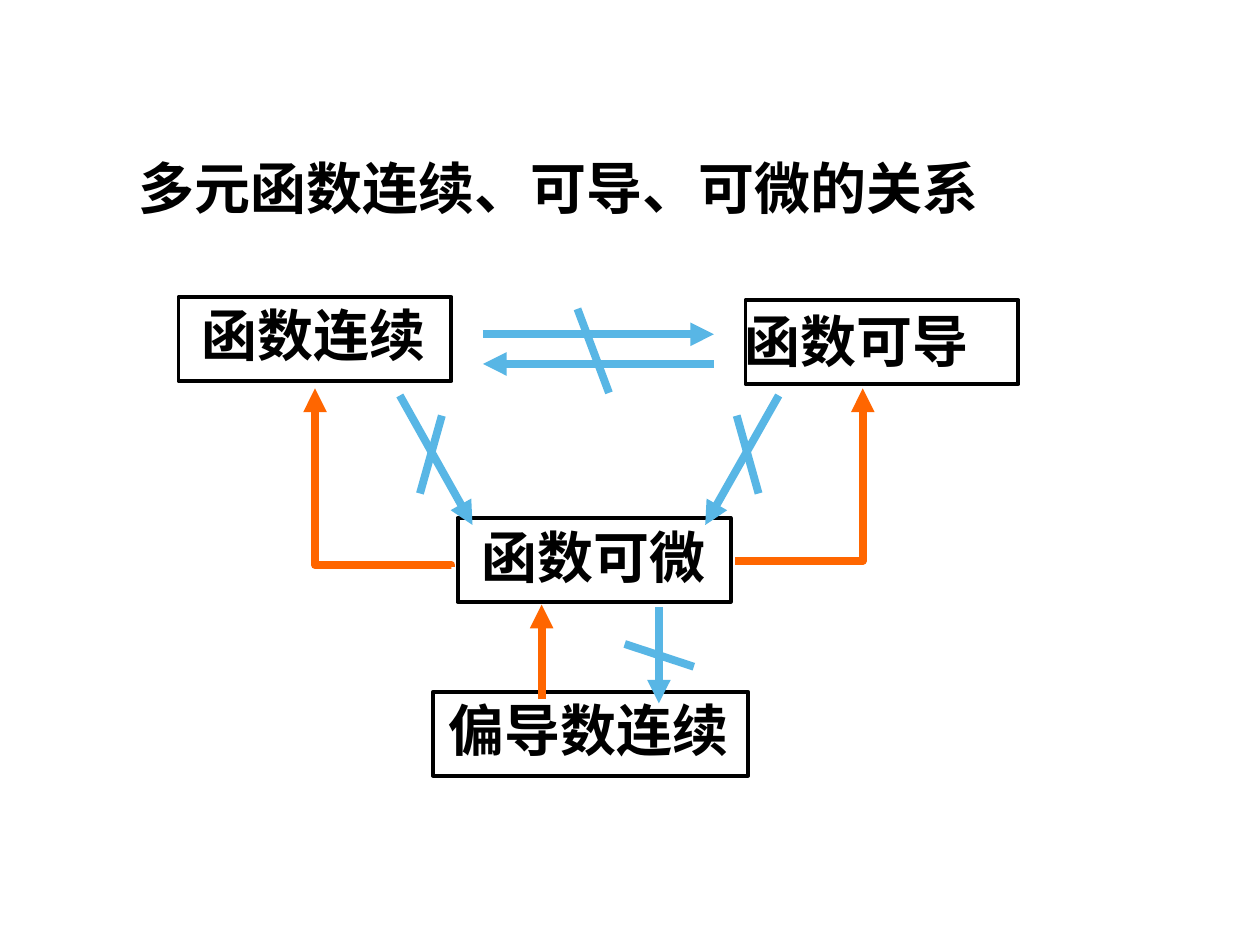
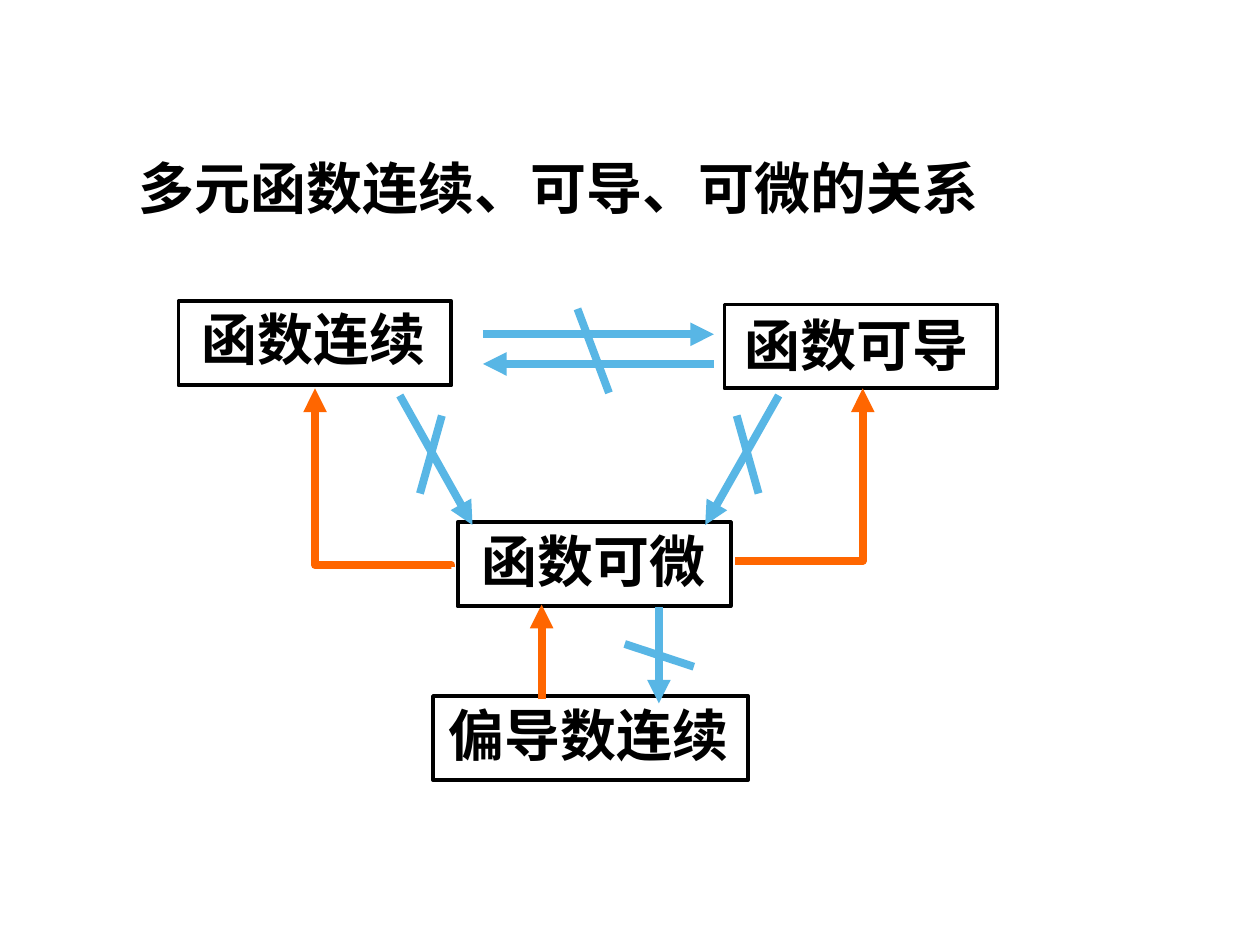
from dataclasses import dataclass

from lxml import etree
from pptx import Presentation
from pptx import util as u
from pptx.dml.color import RGBColor
from pptx.enum import lang, shapes, text
from pptx.oxml import ns

FONT = "Times New Roman"
BLACK = "000000"
IMPLIES = "FF6600"
NOT_IMPLIES = "58B6E5"
TITLE = "多元函数连续、可导、可微的关系"
LABEL_HEIGHT = 46
FRAME_HEIGHT = 48
ARROW_WIDTH = 4.5


@dataclass(frozen=True)
class Concept:
    name: str
    label_x: float
    label_y: float
    label_width: float
    frame_x: float
    frame_y: float
    frame_width: float = 156


@dataclass(frozen=True)
class Line:
    x1: float
    y1: float
    x2: float
    y2: float
    color: str = NOT_IMPLIES
    head: bool = False
    tail: bool = False


@dataclass(frozen=True)
class Elbow:
    """A bent arrow; the end points are those before rotation."""
    line: Line
    preset: str
    rotation: int = 0
    bend: int | None = None


def concepts(derivable_x: float, shift: float) -> list[Concept]:
    return [
        Concept("函数可微", 268, 295 + shift, 181.5, 261.5, 296 + shift),
        Concept("函数连续", 108, 168 + shift, 191.5, 102, 169.75 + shift),
        Concept("偏导数连续", 249, 394 + shift, 194.5, 247.5, 395.25 + shift, 180),
        Concept("函数可导", 418.5, 171.5 + shift, 181.5, derivable_x, 171.5 + shift),
    ]


SLIDES = [concepts(426, 0), concepts(414, 2.5)]

ARROWS = [
    Line(276, 191, 408, 191, tail=True),
    Line(276, 208, 408, 208, head=True),
    Line(330, 176.5, 348, 224.5),
    Elbow(Line(168, 312, 270, 234, IMPLIES, tail=True), "bentConnector3", 270, 1000),
    Line(228.5, 226, 270, 300, tail=True),
    Line(252.5, 237.5, 240, 282),
    Elbow(Line(420, 320.5, 493, 222, IMPLIES, tail=True), "bentConnector2"),
    Line(445, 226, 403, 300, tail=True),
    Line(421, 237.5, 433.5, 282),
    Line(309.5, 399.5, 309.5, 345.5, IMPLIES, tail=True),
    Line(376.5, 347, 376.5, 402, tail=True),
    Line(357, 368, 396.5, 381),
]


def rgb(color: str) -> RGBColor:
    return RGBColor.from_string(color)


def write(sp, content: str, *, size: float = 32, color: str = BLACK,
          bold: bool = True) -> None:
    tf = sp.text_frame
    tf.word_wrap = True
    tf.auto_size = text.MSO_AUTO_SIZE.NONE
    tf.vertical_anchor = text.MSO_ANCHOR.TOP
    p = tf.paragraphs[0]
    p.alignment = text.PP_ALIGN.LEFT
    r = p.add_run()
    r.text = content
    r.font.name = FONT
    r.font.size = u.Pt(size)
    r.font.bold = bold
    r.font.color.rgb = rgb(color)
    r.font.language_id = lang.MSO_LANGUAGE_ID.SIMPLIFIED_CHINESE


def add_title(slide) -> None:
    sp = slide.shapes.title
    sp.left, sp.top, sp.width, sp.height = map(u.Pt, (72, 84, 588, LABEL_HEIGHT))
    write(sp, TITLE)


def add_label(slide, concept: Concept) -> None:
    sp = slide.shapes.add_textbox(u.Pt(concept.label_x), u.Pt(concept.label_y),
                                  u.Pt(concept.label_width), u.Pt(LABEL_HEIGHT))
    write(sp, concept.name)


def add_frame(slide, concept: Concept) -> None:
    sp = slide.shapes.add_shape(
        shapes.MSO_SHAPE.RECTANGLE, u.Pt(concept.frame_x), u.Pt(concept.frame_y),
        u.Pt(concept.frame_width), u.Pt(FRAME_HEIGHT))
    sp.shadow.inherit = False
    sp.fill.background()
    sp.line.color.rgb = rgb(BLACK)
    sp.line.width = u.Pt(2.25)


def add_line(slide, line: Line, kind=shapes.MSO_CONNECTOR.STRAIGHT):
    sp = slide.shapes.add_connector(
        kind, *map(u.Pt, (line.x1, line.y1, line.x2, line.y2)))
    sp.line.color.rgb = rgb(line.color)
    sp.line.width = u.Pt(ARROW_WIDTH)
    ln = sp.line._get_or_add_ln()
    for tag, wanted in (("a:headEnd", line.head), ("a:tailEnd", line.tail)):
        if wanted:
            etree.SubElement(ln, ns.qn(tag), type="triangle")
    etree.SubElement(sp._element.spPr, ns.qn("a:effectLst"))
    return sp


def add_elbow(slide, elbow: Elbow) -> None:
    sp = add_line(slide, elbow.line, shapes.MSO_CONNECTOR.ELBOW)
    spPr = sp._element.spPr
    if elbow.rotation:
        spPr.find(ns.qn("a:xfrm")).set("rot", str(elbow.rotation * 60000))
    geometry = spPr.find(ns.qn("a:prstGeom"))
    geometry.set("prst", elbow.preset)
    if elbow.bend is not None:
        guides = geometry.find(ns.qn("a:avLst"))
        etree.SubElement(guides, ns.qn("a:gd"), name="adj1", fmla=f"val {elbow.bend}")


def add_relations_slide(prs, boxes: list[Concept]) -> None:
    slide = prs.slides.add_slide(prs.slide_layouts.get_by_name("Title Only"))
    add_title(slide)
    for concept in boxes:
        add_label(slide, concept)
    for concept in boxes:
        add_frame(slide, concept)
    for arrow in ARROWS:
        if isinstance(arrow, Elbow):
            add_elbow(slide, arrow)
        else:
            add_line(slide, arrow)


def main() -> None:
    prs = Presentation()
    prs.slide_width, prs.slide_height = u.Pt(720), u.Pt(540)
    for boxes in SLIDES:
        add_relations_slide(prs, boxes)
    prs.save("out.pptx")


if __name__ == "__main__":
    main()
